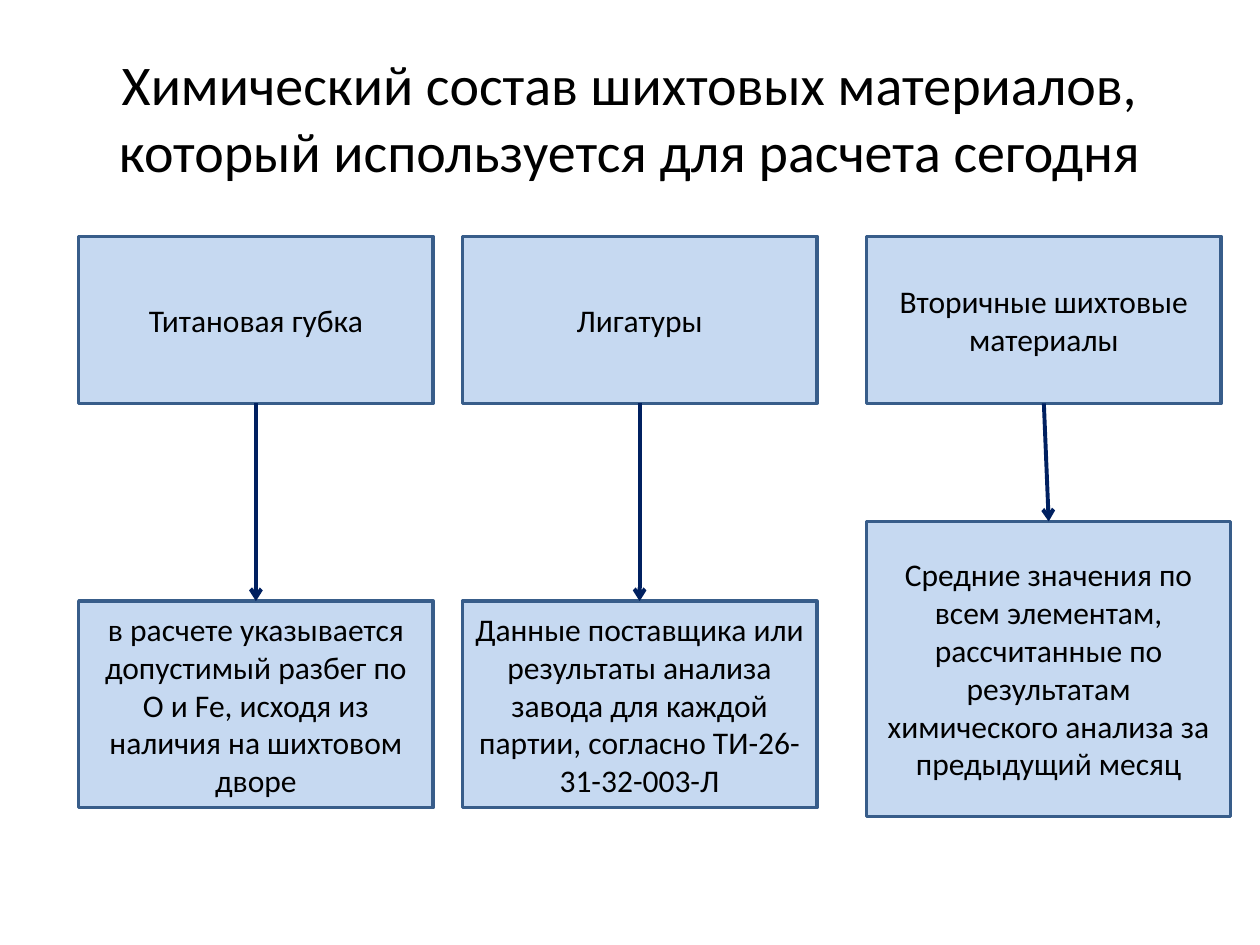
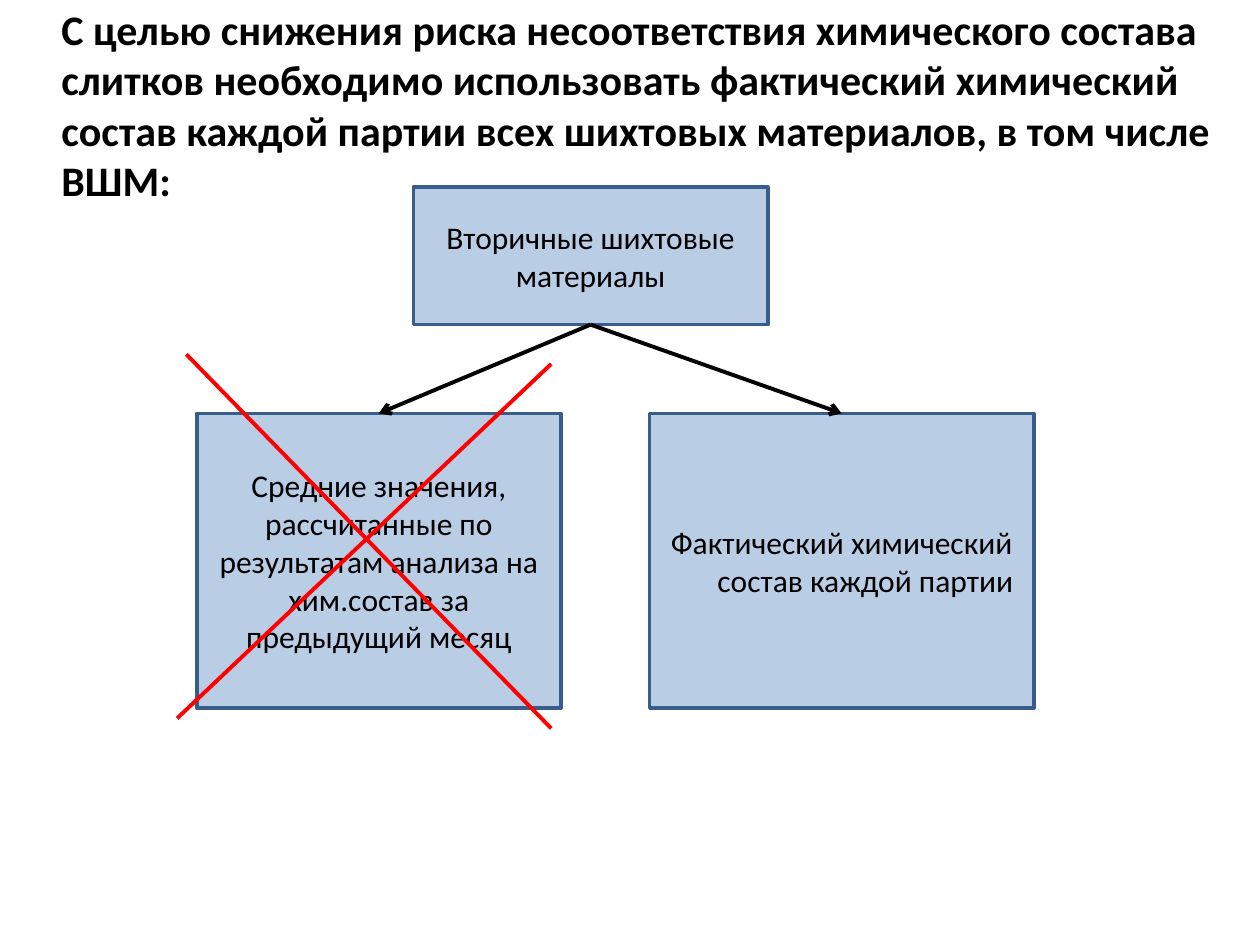
from lxml.etree import SubElement
from pptx import Presentation
from pptx.dml.color import RGBColor
from pptx.enum.shapes import MSO_CONNECTOR as CONN, MSO_SHAPE as SHAPE
from pptx.enum.text import MSO_ANCHOR as ANCHOR, PP_ALIGN as ALIGN
from pptx.oxml.ns import qn
from pptx.util import Pt

FONT = "Calibri"
COLORS = {
    "text": "000000",
    "border": "385D8A",
    "today": "C6D9F1",
    "proposed": "B9CDE5",
    "navy": "002060",
    "black": "000000",
    "cross": "FF0000",
}

TODAY_TITLE = "Химический состав шихтовых материалов, который используется для расчета сегодня"
MATERIALS = [
    ("Титановая губка",
     "в расчете указывается допустимый разбег по O и Fe, исходя из наличия на шихтовом дворе"),
    ("Лигатуры",
     "Данные поставщика или результаты анализа завода для каждой партии, согласно ТИ-26-31-32-003-Л"),
    ("Вторичные шихтовые материалы",
     "Средние значения по всем элементам, рассчитанные по результатам химического анализа за предыдущий месяц"),
]
PROPOSED_TITLE = ("С целью снижения риска несоответствия химического состава слитков необходимо "
                  "использовать фактический химический состав каждой партии всех шихтовых "
                  "материалов, в том числе ВШМ:")
SECONDARY = "Вторичные шихтовые материалы"
AVERAGES = ("Средние значения, рассчитанные по результатам анализа на хим.состав "
            "за предыдущий месяц")
ACTUAL = "Фактический химический состав каждой партии"

BOX_W = 202.5
AVERAGES_SIZE = (208, 168.5)
COLUMN_LEFTS = (45, 264.25, 495.25)
SOURCE_TOP, SOURCE_H = 135, 95.5
DATA_BOXES = [(343.5, BOX_W, 118), (343.5, BOX_W, 118), (298, *AVERAGES_SIZE)]
CHOICE_TOP = 236.25
CROSS = [(106.5, 202.5, 315, 416.25), (315, 208, 101.25, 410.5)]


def rgb(name):
    return RGBColor.from_string(COLORS[name])


def write(sp, text, size, align, bold=False):
    tf = sp.text_frame
    tf.word_wrap = True
    tf.vertical_anchor = ANCHOR.MIDDLE
    p = tf.paragraphs[0]
    p.alignment = align
    r = p.add_run()
    r.text = text
    r.font.name, r.font.size, r.font.bold = FONT, Pt(size), bold
    r.font.color.rgb = rgb("text")
    return p


def add_title(s, text, box, size, align, bold=False):
    write(s.shapes.add_textbox(*map(Pt, box)), text, size, align, bold)


def add_box(s, text, box, fill, kind=SHAPE.FLOWCHART_PROCESS, hanging=0):
    sp = s.shapes.add_shape(kind, *map(Pt, box))
    sp.shadow.inherit = False
    sp.fill.solid()
    sp.fill.fore_color.rgb = rgb(fill)
    sp.line.color.rgb = rgb("border")
    sp.line.width = Pt(2)
    p = write(sp, text, 18, ALIGN.CENTER)
    if hanging:
        pPr = p._p.get_or_add_pPr()
        pPr.set("marL", str(Pt(hanging)))
        pPr.set("indent", str(-Pt(hanging)))
    return sp


def add_line(s, color, ends=(0, 0, 0, 0)):
    line = s.shapes.add_connector(CONN.STRAIGHT, *map(Pt, ends))
    line.line.color.rgb = rgb(color)
    line.line.width = Pt(2.25)
    SubElement(line._element.spPr, qn("a:effectLst"))
    return line


def add_arrow(s, upper, lower, color):
    arrow = add_line(s, color)
    arrow.begin_connect(upper, 2)
    arrow.end_connect(lower, 0)
    SubElement(arrow.line._get_or_add_ln(), qn("a:tailEnd"), type="arrow")


def build_today(s):
    add_title(s, TODAY_TITLE, (36, 21.6, 648, 90), 32, ALIGN.CENTER)
    for (source, data), left, (top, w, h) in zip(MATERIALS, COLUMN_LEFTS, DATA_BOXES):
        upper = add_box(s, source, (left, SOURCE_TOP, BOX_W, SOURCE_H), "today")
        lower = add_box(s, data, (left, top, w, h), "today")
        add_arrow(s, upper, lower, "navy")


def build_proposed(s):
    add_title(s, PROPOSED_TITLE, (28, 22.5, 692, 74), 24, ALIGN.LEFT, bold=True)
    secondary = add_box(s, SECONDARY, (236.25, 106.75, BOX_W, 78.75), "proposed")
    averages = add_box(s, AVERAGES, (112.5, CHOICE_TOP, *AVERAGES_SIZE), "proposed")
    actual = add_box(s, ACTUAL, (371.25, CHOICE_TOP, 219.5, AVERAGES_SIZE[1]), "proposed",
                     SHAPE.RECTANGLE, hanging=27)
    for choice in (averages, actual):
        add_arrow(s, secondary, choice, "black")
    for ends in CROSS:
        add_line(s, "cross", ends)


def main():
    prs = Presentation()
    prs.slide_width, prs.slide_height = Pt(720), Pt(540)
    for build in (build_today, build_proposed):
        build(prs.slides.add_slide(prs.slide_layouts[6]))
    prs.save("out.pptx")


if __name__ == "__main__":
    main()
